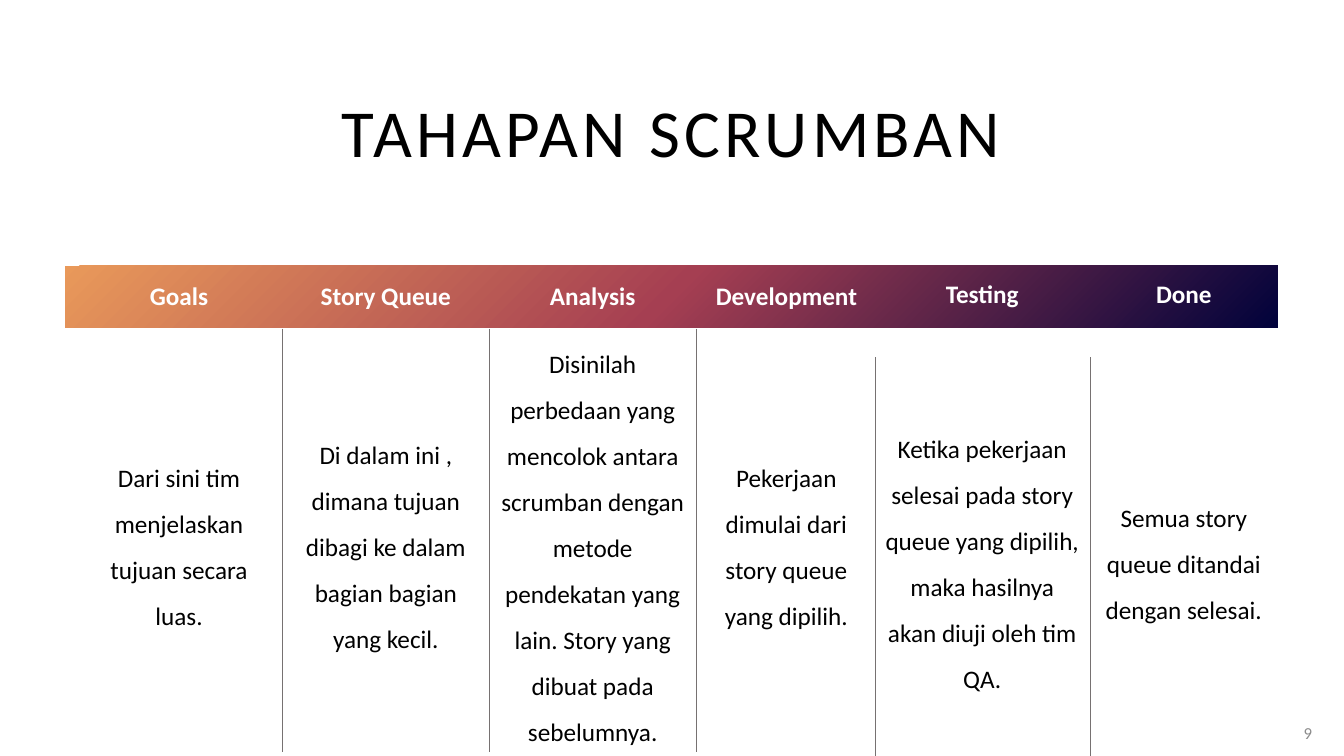
"""Builds the slide with the six stages of Scrumban."""
from lxml import etree
from pptx import Presentation
from pptx.dml.color import RGBColor
from pptx.enum.shapes import MSO_SHAPE
from pptx.enum.text import MSO_ANCHOR, PP_ALIGN
from pptx.oxml import parse_xml
from pptx.oxml.ns import nsdecls, qn

PX = 9525
RECTANGLE = MSO_SHAPE.RECTANGLE
MIDDLE = MSO_ANCHOR.MIDDLE
CENTER, RIGHT = PP_ALIGN.CENTER, PP_ALIGN.RIGHT
PLAIN_TABLE = "{2D5ABB26-0587-4C30-8999-92F81FD0307C}"
COLORS = {
    "black": "000000", "white": "FFFFFF", "rule": "767171", "number": "8C8C8C",
    "navy": "01023B", "crimson": "A53F52", "orange": "E9995A",
}
STAGES = [
    ("Goals", "Dari sini tim menjelaskan tujuan secara luas."),
    ("Story Queue", "Di dalam ini , dimana tujuan dibagi ke dalam bagian bagian yang kecil."),
    ("Analysis", "Disinilah perbedaan yang mencolok antara scrumban dengan metode "
                 "pendekatan yang lain. Story yang dibuat pada sebelumnya."),
    ("Development", "Pekerjaan dimulai dari story queue yang dipilih."),
    ("Testing", "Ketika pekerjaan selesai pada story queue yang dipilih, "
                "maka hasilnya akan diuji oleh tim QA."),
    ("Done", "Semua story queue ditandai dengan selesai."),
]
TABLES = [
    (72, 252, [197, 197, 197, 172], [61, 403], STAGES[:4]),
    (833, 222, [205, 179], [118, 381], STAGES[4:]),
]


def write(para, text, size, color, align, bold=False):
    para.text = text
    para.alignment = align
    para.font.name = "Calibri"
    para.font.size = size * 12700
    para.font.bold = bold
    para.font.color.rgb = RGBColor.from_string(COLORS[color])


def add_text(page, area, text, size, color, align):
    box = page.shapes.add_textbox(*(length * PX for length in area))
    frame = box.text_frame
    frame.word_wrap = True
    frame.vertical_anchor = MIDDLE
    write(frame.paragraphs[0], text, size, color, align)
    return frame.paragraphs[0]


deck = Presentation()
deck.slide_width, deck.slide_height = 1280 * PX, 720 * PX
page = deck.slides.add_slide(deck.slide_layouts[6])

band = page.shapes.add_shape(RECTANGLE, 62 * PX, 253 * PX, 1155 * PX, 59 * PX)
band.shadow.inherit = False
band.line.fill.background()
band.fill.gradient()
stops = "".join(
    f'<a:gs pos="{place * 1000}"><a:srgbClr val="{COLORS[name]}"/></a:gs>'
    for place, name in [(0, "navy"), (50, "crimson"), (100, "orange")]
)
old_fill = band.element.spPr.find(qn("a:gradFill"))
old_fill.getparent().replace(old_fill, parse_xml(
    f'<a:gradFill {nsdecls("a")} rotWithShape="1"><a:gsLst>{stops}</a:gsLst>'
    '<a:path path="circle"><a:fillToRect l="100000" t="100000"/></a:path></a:gradFill>'
))

title = add_text(page, (62, 81, 1155, 86), "TAHAPAN SCRUMBAN", 48, "black", CENTER)
title.runs[0].font._element.set("spc", "300")

for left, top, widths, heights, stages in TABLES:
    frame = page.shapes.add_table(
        2, len(stages), left * PX, top * PX, sum(widths) * PX, sum(heights) * PX)
    table = frame.table
    table.horz_banding = False
    table._tbl.tblPr.find(qn("a:tableStyleId")).text = PLAIN_TABLE
    for row, height in zip(table.rows, heights):
        row.height = height * PX
    for column, (stage, width) in enumerate(zip(stages, widths)):
        table.columns[column].width = width * PX
        for row, text in enumerate(stage):
            cell = table.cell(row, column)
            cell.fill.background()
            cell.vertical_anchor = MIDDLE
            para = cell.text_frame.paragraphs[0]
            write(para, text, 18, "black" if row else "white", CENTER, bold=not row)
        para.line_spacing = 1.5
        sides = []
        if stage is not STAGES[0]:
            sides.append("lnL")
        if column < len(stages) - 1:
            sides.append("lnR")
        for place, side in enumerate(sides):
            border = etree.Element(qn(f"a:{side}"), w="3175")
            fill = etree.SubElement(border, qn("a:solidFill"))
            etree.SubElement(fill, qn("a:srgbClr"), val=COLORS["rule"])
            cell._tc.tcPr.insert(place, border)

add_text(page, (1212, 679, 47, 38), "9", 12, "number", RIGHT)

deck.save("out.pptx")
